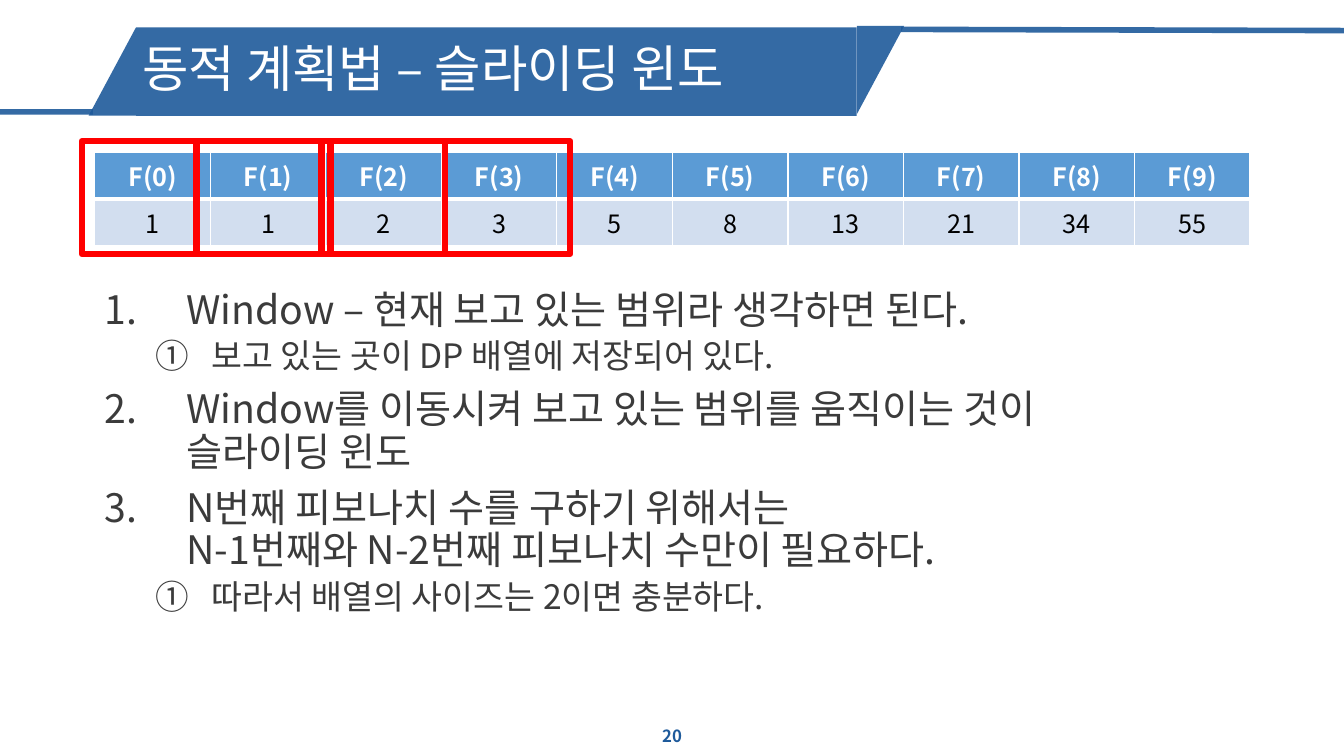
from lxml.etree import SubElement
from pptx import Presentation
from pptx.dml.color import RGBColor
from pptx.enum.shapes import MSO_CONNECTOR, MSO_SHAPE
from pptx.enum.text import MSO_ANCHOR, PP_ALIGN
from pptx.oxml import parse_xml
from pptx.oxml.ns import nsdecls, qn
from pptx.util import Cm, Pt

NAVY = RGBColor(0x1E, 0x5A, 0x9B)
WHITE = RGBColor(0xFF, 0xFF, 0xFF)
BLACK = RGBColor(0x00, 0x00, 0x00)
GRAY = RGBColor(0x3B, 0x3B, 0x3B)
RED = RGBColor(0xFF, 0x00, 0x00)
HEADER_BLUE = RGBColor(0x5B, 0x9B, 0xD5)
PALE_BLUE = RGBColor(0xD2, 0xDE, 0xEF)

LEVELS = [
    {"size": 28, "before": 10, "margin": 2.06, "indent": -2.06, "scheme": "arabicPeriod"},
    {"size": 24, "before": 5, "margin": 2.69, "indent": -1.42, "scheme": "circleNumDbPlain"},
]

NOTES = [
    (0, "Window – 현재 보고 있는 범위라 생각하면 된다."),
    (1, "보고 있는 곳이 DP 배열에 저장되어 있다."),
    (0, "Window를 이동시켜 보고 있는 범위를 움직이는 것이\n슬라이딩 윈도"),
    (0, "N번째 피보나치 수를 구하기 위해서는\nN-1번째와 N-2번째 피보나치 수만이 필요하다."),
    (1, "따라서 배열의 사이즈는 2이면 충분하다."),
]


class SlideBuilder:
    font = "Noto Sans CJK KR"
    opacity = 90

    def __init__(self, page):
        self.page = page

    def fade(self, shape):
        for color in shape._element.spPr.iter(qn("a:srgbClr")):
            SubElement(color, qn("a:alpha")).set("val", str(self.opacity * 1000))

    def fill_paragraph(self, para, text, color, paragraph_format, font_format):
        para.text = text
        for name, value in paragraph_format.items():
            setattr(para, name, value)
        for span in para.runs:
            for name, value in font_format.items():
                setattr(span.font, name, value)
            span.font.color.rgb = color
            span.font.name = self.font
            SubElement(span.font._element, qn("a:ea")).set("typeface", self.font)

    def ribbon_part(self, kind, left, top, width, height, rotation=0):
        shape = self.page.shapes.add_shape(kind, Cm(left), Cm(top), Cm(width), Cm(height))
        shape.shadow.inherit = False
        shape.rotation = rotation
        shape.fill.solid()
        shape.fill.fore_color.rgb = NAVY
        shape.line.fill.background()
        self.fade(shape)

    def rule(self, start, end):
        points = [Cm(value) for value in (*start, *end)]
        line = self.page.shapes.add_connector(MSO_CONNECTOR.STRAIGHT, *points)
        line.line.width = Pt(4)
        line.line.color.rgb = NAVY
        self.fade(line)
        SubElement(line._element.spPr, qn("a:effectLst"))

    def frame(self, left, top, width, height):
        shape = self.page.shapes.add_shape(
            MSO_SHAPE.RECTANGLE, Cm(left), Cm(top), Cm(width), Cm(height))
        shape.shadow.inherit = False
        shape.fill.background()
        shape.line.color.rgb = RED
        shape.line.width = Pt(4.5)

    def text_box(self, left, top, width, height, anchor=MSO_ANCHOR.MIDDLE):
        box = self.page.shapes.add_textbox(Cm(left), Cm(top), Cm(width), Cm(height))
        box.text_frame.word_wrap = True
        box.text_frame.vertical_anchor = anchor
        return box.text_frame

    def label(self, text, area, color, paragraph_format, font_format):
        para = self.text_box(*area).paragraphs[0]
        self.fill_paragraph(para, text, color, paragraph_format, font_format)

    def numbered_list(self, items, area):
        frame = self.text_box(*area, anchor=MSO_ANCHOR.TOP)
        for index, (depth, text) in enumerate(items):
            para = frame.add_paragraph() if index else frame.paragraphs[0]
            level = LEVELS[depth]
            self.fill_paragraph(
                para, text, GRAY,
                {"level": depth, "line_spacing": 0.9, "space_before": Pt(level["before"])},
                {"size": Pt(level["size"])})
            properties = para._p.get_or_add_pPr()
            properties.set("marL", str(Cm(level["margin"])))
            properties.set("indent", str(Cm(level["indent"])))
            SubElement(properties, qn("a:buAutoNum")).set("type", level["scheme"])

    def cell_borders(self, cell, top, bottom):
        properties = cell._tc.get_or_add_tcPr()
        widths = {"lnL": 1, "lnR": 1, "lnT": top, "lnB": bottom}
        for position, (side, width) in enumerate(widths.items()):
            properties.insert(position, parse_xml(
                f'<a:{side} {nsdecls("a")} w="{Pt(width)}"><a:solidFill>'
                f'<a:srgbClr val="{WHITE}"/></a:solidFill></a:{side}>'))

    def table(self, rows, left, top, width, height):
        grid = self.page.shapes.add_table(
            len(rows), len(rows[0]), Cm(left), Cm(top), Cm(width), Cm(height)).table
        grid.horz_banding = False
        for row_index, values in enumerate(rows):
            header = row_index == 0
            for column, value in enumerate(values):
                cell = grid.cell(row_index, column)
                cell.fill.solid()
                cell.fill.fore_color.rgb = HEADER_BLUE if header else PALE_BLUE
                self.fill_paragraph(
                    cell.text_frame.paragraphs[0], str(value), WHITE if header else BLACK,
                    {"alignment": PP_ALIGN.CENTER}, {"size": Pt(18), "bold": header})
                self.cell_borders(cell, 1 if header else 3, 3 if header else 1)


def fibonacci(count):
    values = [1, 1]
    while len(values) < count:
        values.append(values[-1] + values[-2])
    return values


def main():
    deck = Presentation()
    deck.slide_width, deck.slide_height = Cm(33.87), Cm(19.05)
    builder = SlideBuilder(deck.slides.add_slide(deck.slide_layouts[6]))

    builder.ribbon_part(MSO_SHAPE.RIGHT_TRIANGLE, 21.08, 1.17, 2.22, 1.19, 90)
    builder.rule((2.34, 2.82), (0, 2.82))
    builder.ribbon_part(MSO_SHAPE.RIGHT_TRIANGLE, 1.72, 1.21, 2.22, 1.19, 270)
    builder.rule((33.87, 0.77), (22.71, 0.74))
    builder.ribbon_part(MSO_SHAPE.RECTANGLE, 3.43, 0.69, 18.16, 2.23)

    builder.label("20", (13.13, 18.03, 7.62, 1.02), NAVY,
                  {"alignment": PP_ALIGN.CENTER}, {"size": Pt(12), "bold": True})
    builder.label("동적 계획법 – 슬라이딩 윈도", (3.33, 0.76, 18.16, 2.06), WHITE,
                  {"line_spacing": 0.9, "space_before": Pt(10)}, {"size": Pt(36)})
    builder.numbered_list(NOTES, (2.39, 7.19, 29.11, 9.86))

    numbers = fibonacci(10)
    headings = [f"F({index})" for index in range(len(numbers))]
    builder.table([headings, numbers], 2.39, 3.84, 29.11, 2.34)
    for left in (2.06, 4.95, 8.1):
        builder.frame(left, 3.56, 6.27, 2.84)

    deck.save("out.pptx")


if __name__ == "__main__":
    main()
